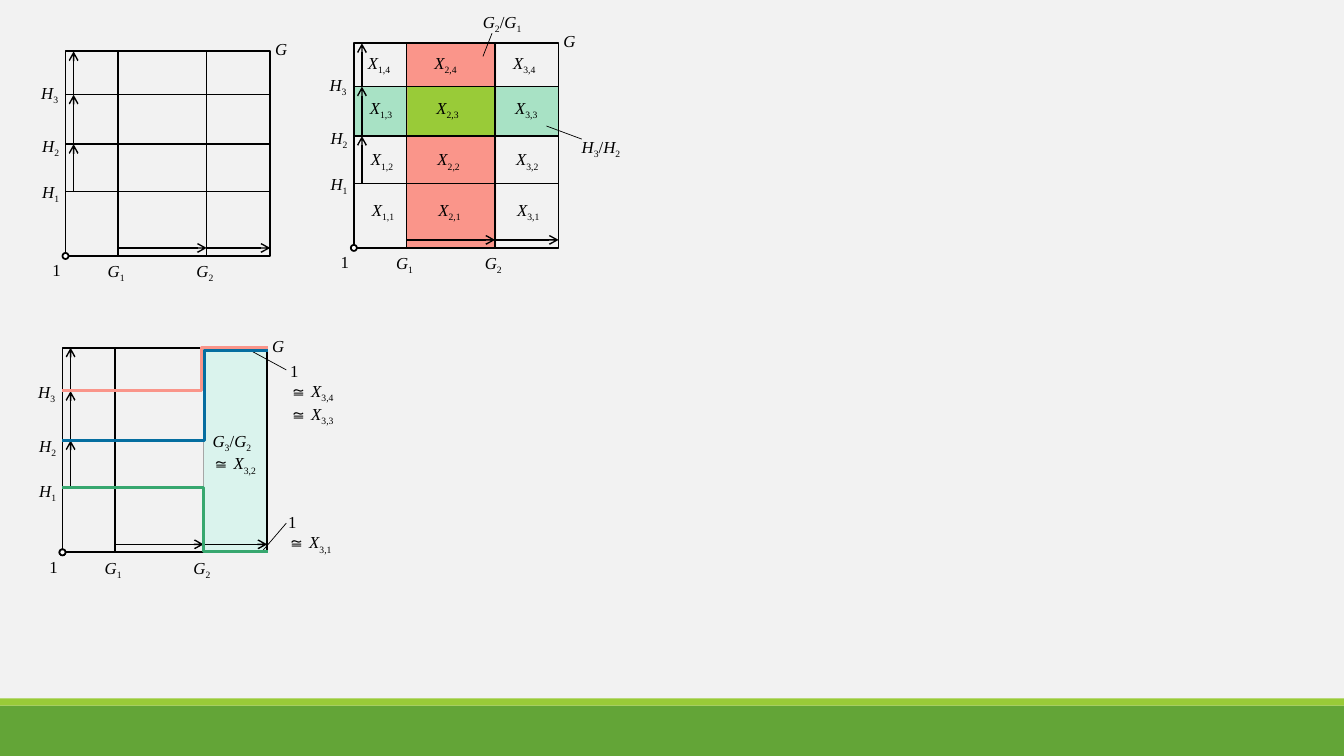
import itertools

import pptx
import pptx.dml.color
import pptx.enum.shapes
import pptx.enum.text
import pptx.oxml.ns
import pptx.oxml.xmlchemy
import pptx.util
from lxml import etree
from pptx.dml.color import RGBColor
from pptx.util import Inches

BLACK = RGBColor(0x00, 0x00, 0x00)
WHITE = RGBColor(0xFF, 0xFF, 0xFF)
PAPER = RGBColor(0xF2, 0xF2, 0xF2)
GREEN = RGBColor(0x63, 0xA5, 0x37)
LIME = RGBColor(0x99, 0xCB, 0x38)
PALE = RGBColor(0xDA, 0xF3, 0xED)
GREY = RGBColor(0xA6, 0xA6, 0xA6)
MINT = RGBColor(0xA8, 0xE2, 0xC5)
SALMON = RGBColor(0xFA, 0x95, 0x8A)
EMERALD = RGBColor(0x37, 0xA7, 0x6F)
BLUE = RGBColor(0x05, 0x6E, 0xA0)
FONT = "Times New Roman"
SIDE = 2.03
G_STEPS = (0.52, 1.4, SIDE)
H_STEPS = (1.39, 0.92, 0.43, 0)
H_LABELS = ((-0.33, 1.24), (-0.33, 0.79), (-0.34, 0.26))
PRESET = pptx.enum.shapes.MSO_SHAPE


def add_block(page, left, top, width, height, fill=None, line=None,
              preset=PRESET.RECTANGLE):
    """Add a preset shape with an optional fill and outline."""
    block = page.shapes.add_shape(preset, *map(Inches, (left, top, width, height)))
    block.shadow.inherit = False
    if fill is None:
        block.fill.background()
    else:
        block.fill.solid()
        block.fill.fore_color.rgb = fill
    if line is None:
        block.line.fill.background()
    else:
        block.line.color.rgb = line
        block.line.width = pptx.util.Pt(1.25)


def add_line(page, start, end, width=1, colour=BLACK, arrow=False):
    """Add a straight line, optionally with an arrowhead at its end."""
    line = page.shapes.add_connector(
        pptx.enum.shapes.MSO_CONNECTOR.STRAIGHT, *map(Inches, (*start, *end)))
    line.line.color.rgb = colour
    line.line.width = pptx.util.Pt(width)
    properties = line._element.spPr
    if arrow:
        outline = properties.find(pptx.oxml.ns.qn("a:ln"))
        etree.SubElement(outline, pptx.oxml.ns.qn("a:tailEnd"), type="arrow")
    etree.SubElement(properties, pptx.oxml.ns.qn("a:effectLst"))


def add_label(page, text, left, top, width, height=0.3, wrap=False):
    """Add a formula with italic letters and subscripts between underscores."""
    box = page.shapes.add_textbox(*map(Inches, (left, top, width, height)))
    frame = box.text_frame
    frame.word_wrap = wrap
    frame.auto_size = pptx.enum.text.MSO_AUTO_SIZE.SHAPE_TO_FIT_TEXT
    for row, content in enumerate(text.split("\n")):
        para = frame.add_paragraph() if row else frame.paragraphs[0]
        for index, part in enumerate(content.split("_")):
            for italic, letters in itertools.groupby(part, str.isalpha):
                span = para.add_run()
                span.text = "".join(letters)
                span.font.name = FONT
                span.font.size = pptx.util.Pt(12)
                span.font.color.rgb = BLACK
                span.font.italic = italic
                if index % 2:
                    span._r.get_or_add_rPr().set("baseline", "-25000")


def add_path(page, points, colour):
    """Add an open coloured path through the points."""
    corners = [(Inches(x), Inches(y)) for x, y in points]
    builder = page.shapes.build_freeform(*corners[0])
    builder.add_line_segments(corners[1:], close=False)
    path = builder.convert_to_shape()
    path.shadow.inherit = False
    path.fill.background()
    path.line.color.rgb = colour
    path.line.width = pptx.util.Pt(2.25)


def add_origin(page, left, top):
    """Add the small circle at the lower left corner of a square."""
    add_block(page, left - 0.03, top + SIDE - 0.03, 0.06, 0.06, WHITE, BLACK,
              PRESET.OVAL)


def add_square(page, left, top, full_grid=True, label_shift=0):
    """Add a square with its subgroup lines, arrows and axis labels."""
    bottom, right = top + SIDE, left + SIDE
    add_block(page, left, top, SIDE, SIDE, line=BLACK)
    for step in G_STEPS[:2] if full_grid else G_STEPS[:1]:
        add_line(page, (left + step, bottom), (left + step, top))
    for step in H_STEPS[:3] if full_grid else ():
        add_line(page, (right, top + step), (left, top + step))
    for start, end in itertools.pairwise(H_STEPS):
        add_line(page, (left + 0.08, top + start), (left + 0.08, top + end), arrow=True)
    for start, end in itertools.pairwise(G_STEPS):
        add_line(page, (left + start, bottom - 0.08), (left + end, bottom - 0.08),
                 arrow=True)
    for number, (across, down) in enumerate(H_LABELS, 1):
        add_label(page, f"H_{number}", left + across, top + down + label_shift, 0.38)
    for number, step in enumerate(G_STEPS[:2], 1):
        add_label(page, f"G_{number}", left + step - 0.2, bottom, 0.38)
    add_label(page, "1", left - 0.23, bottom - 0.01, 0.29)
    add_label(page, "G", right - 0.05, top - 0.17, 0.34)
    add_origin(page, left, top)


def add_quotients(page, left, top):
    """Add the square whose cells show the quotients X."""
    add_block(page, left, top + 0.43, SIDE, 0.49, MINT)
    add_block(page, left + 0.52, top, 0.89, SIDE, SALMON)
    add_block(page, left + 0.53, top + 0.43, 0.87, 0.49, LIME)
    add_square(page, left, top)
    rows = ((4, 3.55, 0.47), (3, 3.57, 0.92), (2, 3.58, 1.43), (1, 3.59, 1.93))
    for row, across, down in rows:
        for column, offset in enumerate((0, 0.66, 1.44), 1):
            add_label(page, f"X_{column},{row}", across + offset, down, 0.47)
    add_line(page, (5.42, 1.25), (5.77, 1.38), 0.5)
    add_label(page, "H_3_/H_2", 5.67, 1.31, 0.65)
    add_line(page, (4.79, 0.56), (4.88, 0.33), 0.5)
    add_label(page, "G_2_/G_1", 4.69, 0.07, 0.66)


def add_refinement(page, left, top):
    """Add the square with the three coloured refinement paths."""
    add_block(page, 2.02, 3.48, 0.63, 1.98, PALE)
    add_line(page, (2.02, 5.47), (2.02, 3.45), colour=GREY)
    add_square(page, left, top, full_grid=False, label_shift=0.03)
    add_label(page, "1\n≅ X_3,4\n≅ X_3,3", 2.78, 3.53, 0.66, 0.71)
    add_line(page, (2.49, 3.48), (2.84, 3.67), 0.5)
    add_label(page, "1 \n≅ X_3,1", 2.76, 5.03, 0.66, 0.5)
    add_line(page, (2.6, 5.47), (2.84, 5.19), 0.5)
    for colour, start, turn, end in ((SALMON, 3.87, 2, 3.45),
                                     (EMERALD, 4.84, 2.02, 5.47),
                                     (BLUE, 4.37, 2.03, 3.48)):
        add_path(page, ((left, start), (turn, start), (turn, end), (2.66, end)), colour)
    add_label(page, "G_3_/G_2\n≅ X_3,2", 2.01, 4.22, 0.68, 0.5, wrap=True)
    add_origin(page, left, top)


def main():
    """Build the slide and save it."""
    deck = pptx.Presentation()
    deck.slide_width, deck.slide_height = Inches(13.33), Inches(7.5)
    page = deck.slides.add_slide(deck.slide_layouts[6])
    page.background.fill.solid()
    page.background.fill.fore_color.rgb = PAPER
    add_block(page, 0, 7, 13.33, 0.5, GREEN)
    add_block(page, 0, 6.93, 13.33, 0.07, LIME)
    add_square(page, 0.65, 0.51)
    add_quotients(page, 3.51, 0.43)
    add_refinement(page, 0.62, 3.45)
    deck.save("out.pptx")


main()
